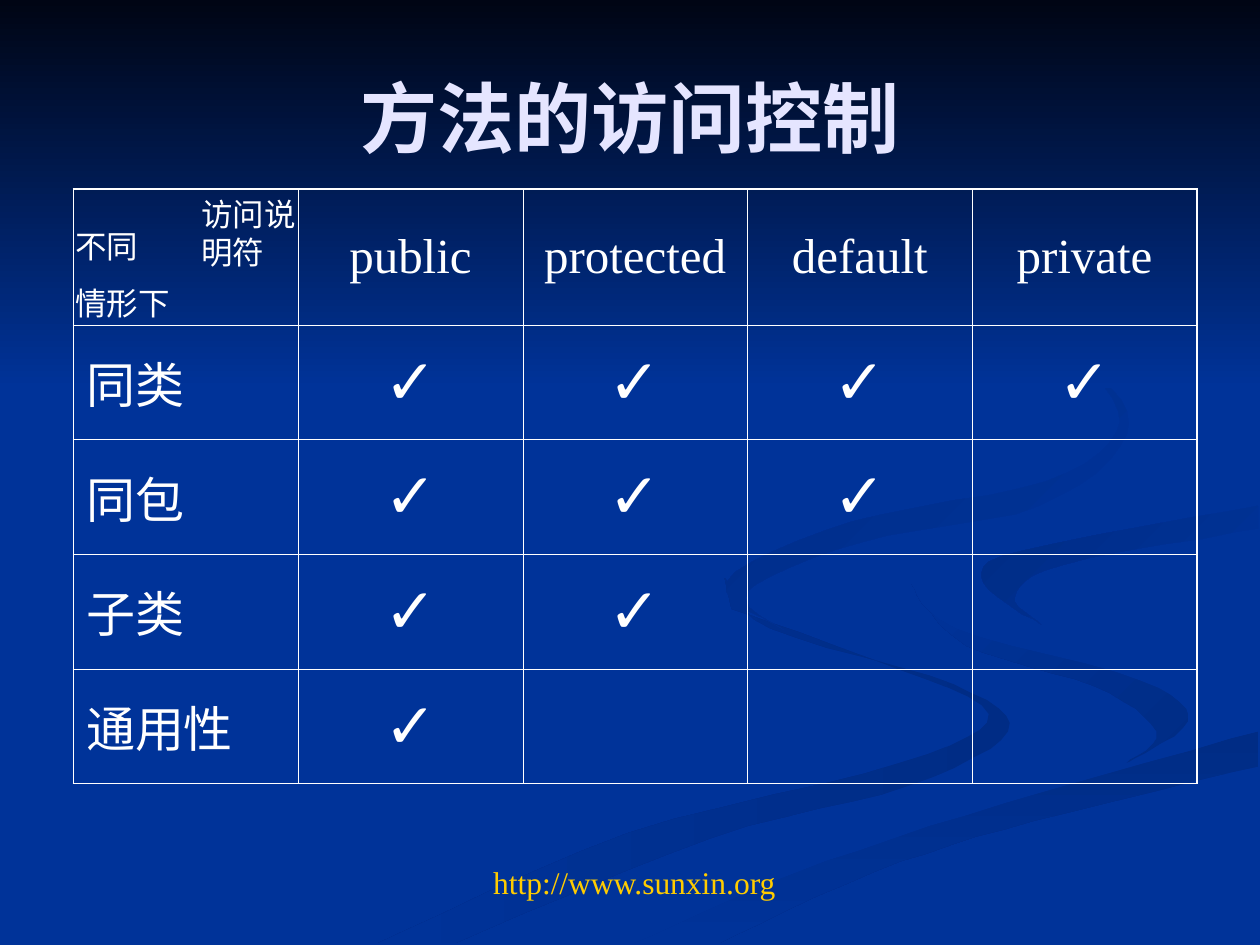
from dataclasses import dataclass

from lxml import etree
from pptx import Presentation
from pptx.dml.color import RGBColor
from pptx.enum.shapes import MSO_SHAPE
from pptx.enum.text import MSO_ANCHOR, PP_ALIGN
from pptx.oxml.ns import qn
from pptx.util import Pt

RECTANGLE = MSO_SHAPE.RECTANGLE
MIDDLE, TOP = MSO_ANCHOR.MIDDLE, MSO_ANCHOR.TOP
LEFT, CENTER = PP_ALIGN.LEFT, PP_ALIGN.CENTER


@dataclass(frozen=True)
class Theme:
    serif: str = "Times New Roman"
    sans: str = "Arial"
    blue: str = "003399"
    shade: str = "002C85"
    night: str = "000514"
    text: str = "FFFFFF"
    title: str = "E5E5FF"
    link: str = "FFCC00"
    title_size: int = 44
    check_size: int = 36
    cell_size: int = 28
    note_size: int = 18
    outer_line: float = 1.08
    inner_line: float = 0.45


THEME = Theme()
PAGE_WIDTH, PAGE_HEIGHT = 720, 540

TITLE = "方法的访问控制"
SPECIFIERS = ["public", "protected", "default", "private"]
ACCESS = [("同类", 4), ("同包", 3), ("子类", 2), ("通用性", 1)]
CHECK = "✓"
NOTES = [
    (["不同", "情形下"], (36, 126, 78, 62), LEFT, THEME.text),
    (["访问说明符"], (108, 108, 72, 50), LEFT, THEME.text),
    (["http://www.sunxin.org"], (127.5, 489.6, 470, 29), CENTER, THEME.link),
]

TABLE_LEFT, TABLE_TOP, TABLE_WIDTH = 42, 108, 642
HEADER_HEIGHT, ROW_HEIGHT = 77.8, 65.5

BEND = [(521, 334), (546, 359), (652, 389), (679, 412), (644, 436)]
SWEEP = [(719, 418), (574, 459), (454, 499), (362, 539)]
HOOK = [(719, 289), (583, 315), (562, 333), (595, 357)]
RIBBONS = [
    ((THEME.shade, THEME.blue, 180), [
        [(414, 330), (440, 359), (545, 391), (576, 418), (519, 449), (406, 479), (260, 539)],
        [(216, 539), (359, 476), (514, 436), (565, 408), (502, 378), (418, 348)]]),
    ((THEME.shade, THEME.blue, 225), [
        BEND, [(644, 436), (661, 418), (625, 392), (552, 369), (521, 334)]]),
    ((THEME.shade, THEME.blue, 90), [
        SWEEP, [(411, 539), (500, 498), (591, 469), (719, 438)]]),
    ((THEME.blue, THEME.blue, 0), [
        BEND + [(477, 481), (343, 539)], SWEEP[::-1],
        [(719, 387), (588, 354), (562, 333)], HOOK[2::-1],
        [(719, 279), (613, 296), (521, 334)]]),
    ((THEME.blue, THEME.shade, 225), [
        HOOK, [(595, 357), (580, 341), (607, 323), (719, 302)]]),
    ((THEME.blue, THEME.shade, 225), [
        [(549, 168), (622, 210), (644, 248), (594, 289), (492, 310), (427, 338), (448, 360)],
        [(448, 360), (415, 333), (487, 298), (598, 275), (640, 241), (609, 201), (549, 168)]]),
]


def smooth(edge, steps=6):
    padded = [edge[0]] + edge + [edge[-1]]
    curve = []
    for before, start, end, after in zip(padded, padded[1:], padded[2:], padded[3:]):
        for step in range(steps):
            t = step / steps
            curve.append(tuple(
                b + ((c - a) * t + (2 * a - 5 * b + 4 * c - d) * t ** 2
                     + (3 * b - a - 3 * c + d) * t ** 3) / 2
                for a, b, c, d in zip(before, start, end, after)))
    return curve + [edge[-1]]


def paint(shape, start, end, clockwise):
    shape.shadow.inherit = False
    shape.line.fill.background()
    if start == end:
        shape.fill.solid()
        shape.fill.fore_color.rgb = RGBColor.from_string(start)
        return
    shape.fill.gradient()
    shape.fill.gradient_angle = (360 - clockwise) % 360
    for stop, color, position in zip(shape.fill.gradient_stops, (start, end), (0, 1)):
        stop.color.rgb = RGBColor.from_string(color)
        stop.position = position


def style(para, size, color=THEME.text, font=THEME.serif, align=CENTER, bold=False):
    para.alignment = align
    para.font.size = Pt(size)
    para.font.name = font
    para.font.bold = bold
    para.font.color.rgb = RGBColor.from_string(color)


def draw_borders(cell, outer_sides):
    properties = cell._tc.get_or_add_tcPr()
    for side in "LRTB":
        width = THEME.outer_line if side in outer_sides else THEME.inner_line
        line = etree.SubElement(properties, qn(f"a:ln{side}"), w=str(Pt(width)))
        fill = etree.SubElement(line, qn("a:solidFill"))
        etree.SubElement(fill, qn("a:srgbClr"), val=THEME.text)


def add_backdrop(page):
    page.background.fill.solid()
    page.background.fill.fore_color.rgb = RGBColor.from_string(THEME.blue)
    for gradient, edges in RIBBONS:
        points = [point for edge in edges for point in smooth(edge)]
        builder = page.shapes.build_freeform(*points[0], scale=Pt(1))
        builder.add_line_segments(points[1:], close=True)
        paint(builder.convert_to_shape(), *gradient)
    sky = page.shapes.add_shape(RECTANGLE, 0, 0, Pt(PAGE_WIDTH), Pt(222))
    paint(sky, THEME.night, THEME.blue, 90)


def add_title(page):
    title = page.shapes.title
    title.left, title.top, title.width, title.height = map(Pt, (36, 21.6, 648, 90))
    title.text_frame.text = TITLE
    title.text_frame.vertical_anchor = MIDDLE
    style(title.text_frame.paragraphs[0], THEME.title_size, THEME.title, bold=True)
    page.shapes._spTree.append(title._element)


def add_access_table(page):
    rows = [[""] + SPECIFIERS]
    for situation, allowed in ACCESS:
        rows.append([situation] + [CHECK] * allowed + [""] * (len(SPECIFIERS) - allowed))
    last_row, last_column = len(rows) - 1, len(SPECIFIERS)
    height = HEADER_HEIGHT + ROW_HEIGHT * last_row
    table = page.shapes.add_table(
        len(rows), last_column + 1,
        Pt(TABLE_LEFT), Pt(TABLE_TOP), Pt(TABLE_WIDTH), Pt(height)).table
    table.first_row = table.horz_banding = False
    for column in table.columns:
        column.width = Pt(TABLE_WIDTH / (last_column + 1))
    for r, values in enumerate(rows):
        table.rows[r].height = Pt(ROW_HEIGHT if r else HEADER_HEIGHT)
        for c, value in enumerate(values):
            cell = table.cell(r, c)
            edges = {"L": c == 0, "R": c == last_column, "T": r == 0, "B": r == last_row}
            draw_borders(cell, [side for side, outer in edges.items() if outer])
            cell.fill.background()
            cell.vertical_anchor = MIDDLE
            cell.text = value
            checked = value == CHECK
            style(cell.text_frame.paragraphs[0],
                  THEME.check_size if checked else THEME.cell_size,
                  font=THEME.sans if checked else THEME.serif,
                  align=CENTER if c else LEFT)


def add_note(page, lines, place, align, color):
    box = page.shapes.add_textbox(*map(Pt, place))
    frame = box.text_frame
    frame.word_wrap = True
    frame.vertical_anchor = TOP
    frame.text = "\n".join(lines)
    for i, para in enumerate(frame.paragraphs):
        style(para, THEME.note_size, color, align=align)
        if i:
            para.space_before = Pt(11.2)


def main():
    deck = Presentation()
    deck.slide_width, deck.slide_height = Pt(PAGE_WIDTH), Pt(PAGE_HEIGHT)
    page = deck.slides.add_slide(deck.slide_layouts[5])
    add_backdrop(page)
    add_title(page)
    add_access_table(page)
    for note in NOTES:
        add_note(page, *note)
    deck.save("out.pptx")


if __name__ == "__main__":
    main()
